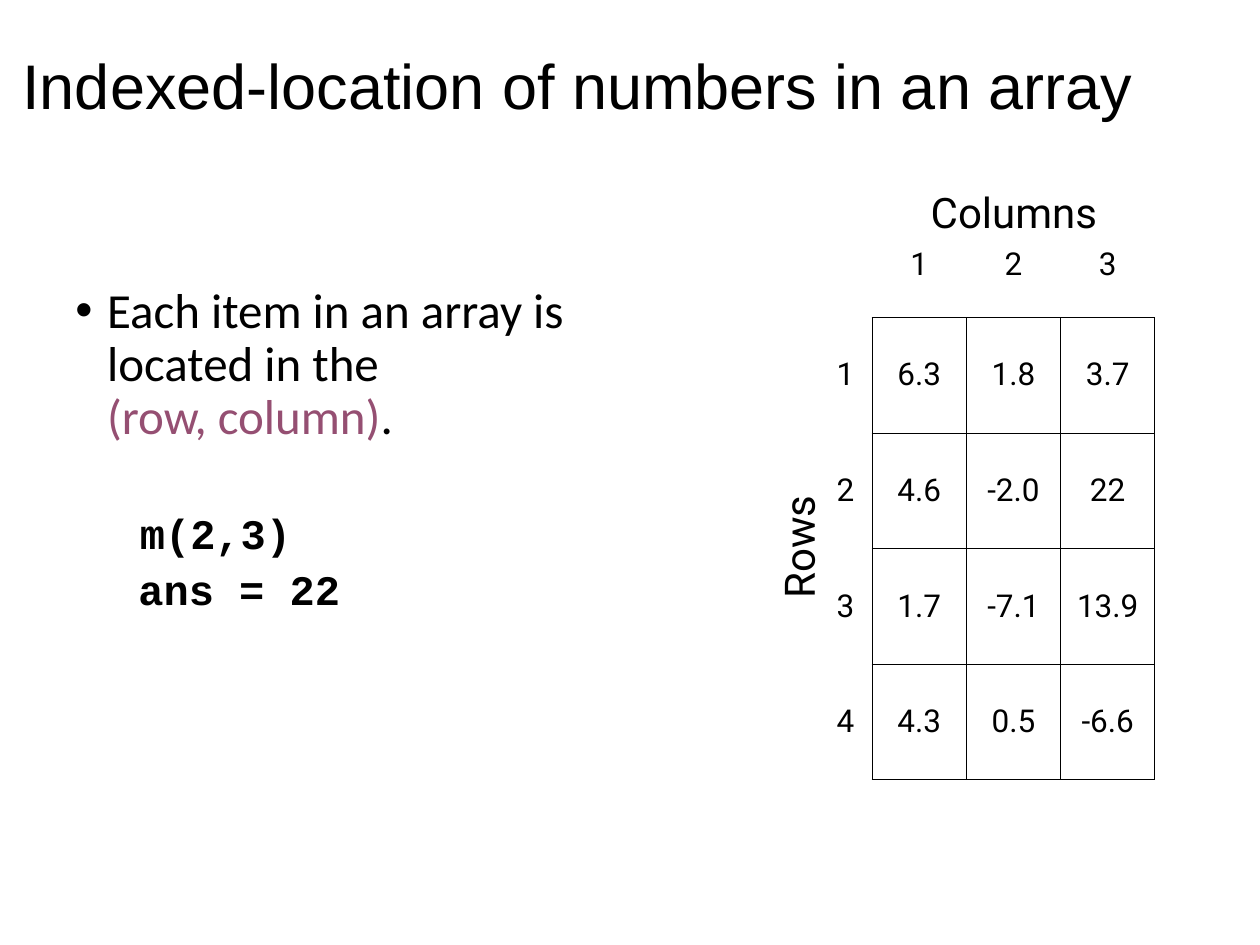
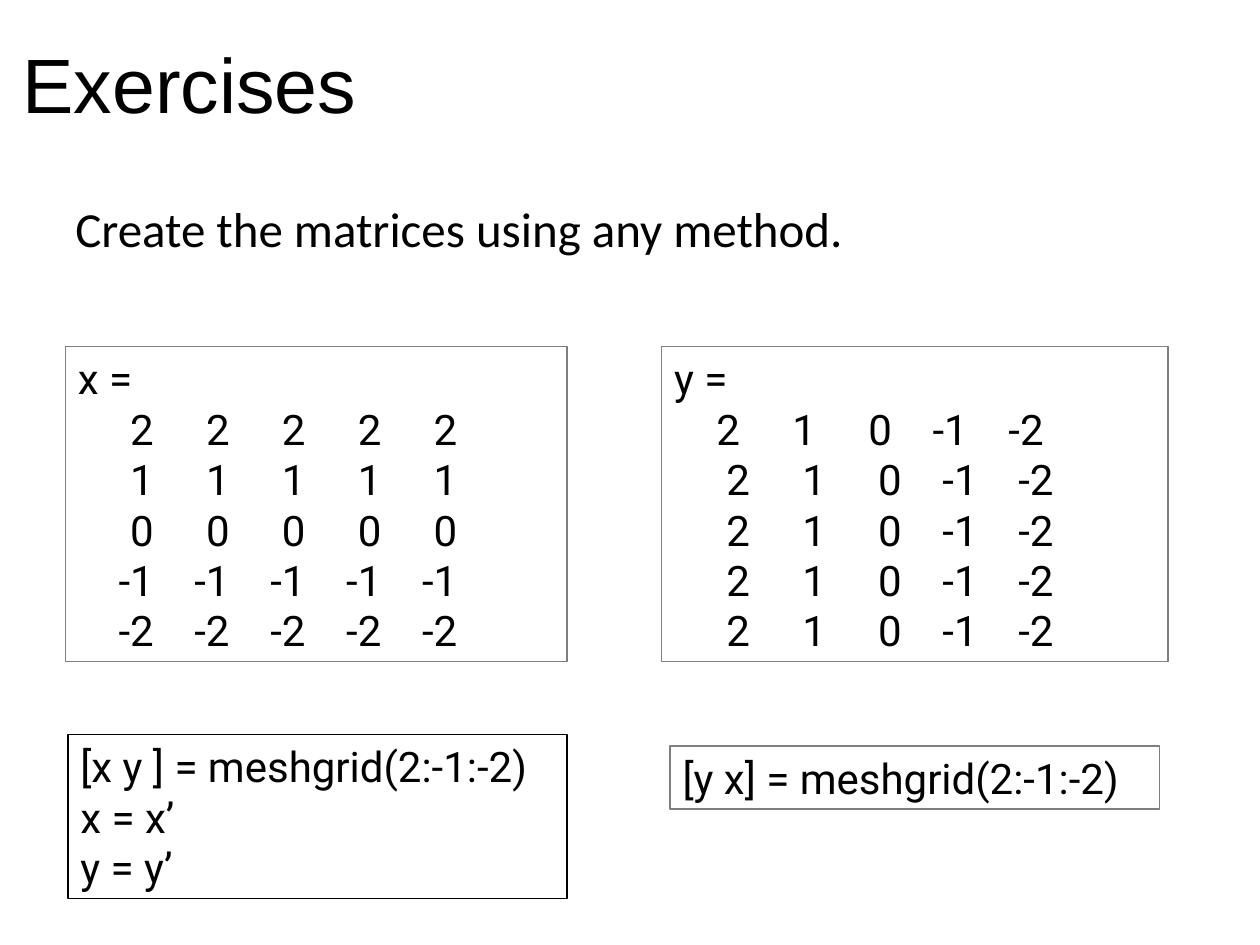
from dataclasses import dataclass

from lxml.etree import SubElement
from pptx import Presentation
from pptx.dml.color import RGBColor as RGB
from pptx.enum.shapes import MSO_SHAPE as Preset
from pptx.enum.text import MSO_ANCHOR as Anchor, MSO_AUTO_SIZE as AutoSize, PP_ALIGN as Align
from pptx.oxml.ns import qn
from pptx.util import Cm, Pt


@dataclass(frozen=True)
class Theme:
    black: RGB = RGB(0x00, 0x00, 0x00)
    grey: RGB = RGB(0x7F, 0x7F, 0x7F)
    plum: RGB = RGB(0x95, 0x4F, 0x72)
    title_font: str = "Arial"
    body_font: str = "Calibri"
    code_font: str = "Courier New"
    label_font: str = "Roboto"
    body_size: int = 28
    label_size: int = 24
    cell_size: int = 18
    border: float = 0.45
    outline: float = 0.75


theme = Theme()


def add_span(para, text, font, size, color=theme.black, bold=False):
    span = para.add_run()
    span.text = text
    span.font.name, span.font.size, span.font.bold = font, Pt(size), bold
    span.font.color.rgb = color


def add_page(deck, title, size):
    page = deck.slides.add_slide(deck.slide_layouts[5])
    box = page.shapes.title
    box.left, box.top, box.width, box.height = Cm(0.2), Cm(0.2), Cm(24.97), Cm(3.18)
    frame = box.text_frame
    frame.auto_size, frame.vertical_anchor = AutoSize.NONE, Anchor.MIDDLE
    para = frame.paragraphs[0]
    para.alignment, para.line_spacing = Align.LEFT, 0.9
    add_span(para, title, theme.title_font, size)
    return page


deck = Presentation()
deck.slide_width, deck.slide_height = Cm(25.4), Cm(19.05)

# Slide 1: indexing into an array
page = add_page(deck, "Indexed-location of numbers in an array", 36)

# Bulleted explanation
box = page.shapes.add_textbox(Cm(1.27), Cm(5.64), Cm(11.23), Cm(4.09))
box.text_frame.word_wrap = True
para = box.text_frame.paragraphs[0]
para.line_spacing = 0.9
properties = para._p.get_or_add_pPr()
properties.set("marL", str(Cm(0.64)))
properties.set("indent", str(-Cm(0.64)))
SubElement(properties, qn("a:buFont"), typeface="Arial")
SubElement(properties, qn("a:buChar"), char="•")
add_span(para, "Each item in an array is located in the", theme.body_font, theme.body_size)
para.add_line_break()
add_span(para, "(row, column)", theme.body_font, theme.body_size, theme.plum)
add_span(para, ".", theme.body_font, theme.body_size)

# Command and its answer
for text, left, top, width in (("m(2,3)", 2.82, 10.24, 5.26), ("ans = 22", 2.54, 11.23, 5.5)):
    box = page.shapes.add_textbox(Cm(left), Cm(top), Cm(width), Cm(1.27))
    box.text_frame.word_wrap = True
    if text == "m(2,3)":
        box.text_frame.margin_left = box.text_frame.margin_top = 0
    add_span(box.text_frame.paragraphs[0], text, theme.code_font, theme.label_size, bold=True)

# Array with row and column numbers
array = [
    ["", "1", "2", "3"],
    ["1", "6.3", "1.8", "3.7"],
    ["2", "4.6", "-2.0", "22"],
    ["3", "1.7", "-7.1", "13.9"],
    ["4", "4.3", "0.5", "-6.6"],
]
table = page.shapes.add_table(5, 4, Cm(16.51), Cm(4.27), Cm(6.78), Cm(11.43)).table
table.first_row = table.horz_banding = False
for index, column in enumerate(table.columns):
    column.width = Cm(1.9 if index else 1.07)
for index, row in enumerate(table.rows):
    row.height = Cm(2.33 if index else 2.13)
for r, values in enumerate(array):
    for c, value in enumerate(values):
        cell = table.cell(r, c)
        cell.vertical_anchor = Anchor.MIDDLE
        para = cell.text_frame.paragraphs[0]
        para.alignment = Align.CENTER
        if value:
            add_span(para, value, theme.label_font, theme.cell_size)
        # Lines surround only the numbers, not the headings
        inside = r > 0 and c > 0
        drawn = {
            "lnL": inside,
            "lnR": r > 0,
            "lnT": inside,
            "lnB": c > 0,
        }
        for edge, visible in drawn.items():
            line = SubElement(cell._tc.get_or_add_tcPr(), qn(f"a:{edge}"), w=str(Pt(theme.border)))
            if visible:
                fill = SubElement(line, qn("a:solidFill"))
                SubElement(fill, qn("a:srgbClr"), val=str(theme.black))
            else:
                SubElement(line, qn("a:noFill"))
        cell.fill.background()

# Axis labels
for text, left, top, width, angle in (
    ("Columns", 17.58, 3.63, 5.72, 0),
    ("Rows", 11.43, 10.39, 9.32, 270),
):
    box = page.shapes.add_textbox(Cm(left), Cm(top), Cm(width), Cm(1.27))
    box.rotation = angle
    box.text_frame.word_wrap = True
    para = box.text_frame.paragraphs[0]
    para.alignment = Align.CENTER
    add_span(para, text, theme.label_font, theme.label_size)

# Slide 2: exercises
page = add_page(deck, "Exercises", 44)

# Task
box = page.shapes.add_textbox(Cm(1.27), Cm(4.02), Cm(22.66), Cm(2.11))
box.text_frame.word_wrap = True
para = box.text_frame.paragraphs[0]
para.line_spacing = 0.9
add_span(para, "Create the matrices using any method.", theme.body_font, theme.body_size)

# Matrices and solutions; matrix rows are tab-aligned
levels = ["2", "1", "0", "-1", "-2"]
x_rows = ["\t" + "\t".join([level] * 5) for level in levels]
y_rows = ["\t" + "\t".join(levels)] * 5
panels = [
    (["x =", *x_rows], 1.32, 6.99, 10.11, 6.35, theme.grey),
    (["y =", *y_rows], 13.34, 6.99, 10.21, 6.35, theme.grey),
    (["[x y ] = meshgrid(2:-1:-2)", "x = x’", "y = y’"], 1.37, 14.81, 10.06, 3.3, theme.black),
    (["[y x] = meshgrid(2:-1:-2)"], 13.51, 15.04, 9.86, 1.27, theme.grey),
]
tab_step = 1.53
for lines, left, top, width, height, outline in panels:
    panel = page.shapes.add_shape(Preset.RECTANGLE, Cm(left), Cm(top), Cm(width), Cm(height))
    panel.shadow.inherit = False
    panel.fill.background()
    panel.line.color.rgb, panel.line.width = outline, Pt(theme.outline)
    frame = panel.text_frame
    frame.word_wrap, frame.vertical_anchor = True, Anchor.TOP
    for number, text in enumerate(lines):
        para = frame.paragraphs[0] if number == 0 else frame.add_paragraph()
        para.alignment = Align.LEFT
        if text.startswith("\t"):
            # The first row of y sits slightly to the left
            shift = 0.2 if lines[0] == "y =" and number == 1 else 0
            tabs = SubElement(para._p.get_or_add_pPr(), qn("a:tabLst"))
            for stop in range(1, 6):
                SubElement(tabs, qn("a:tab"), pos=str(Cm(stop * tab_step - shift)), algn="r")
        add_span(para, text, theme.label_font, theme.label_size)

deck.save("out.pptx")
